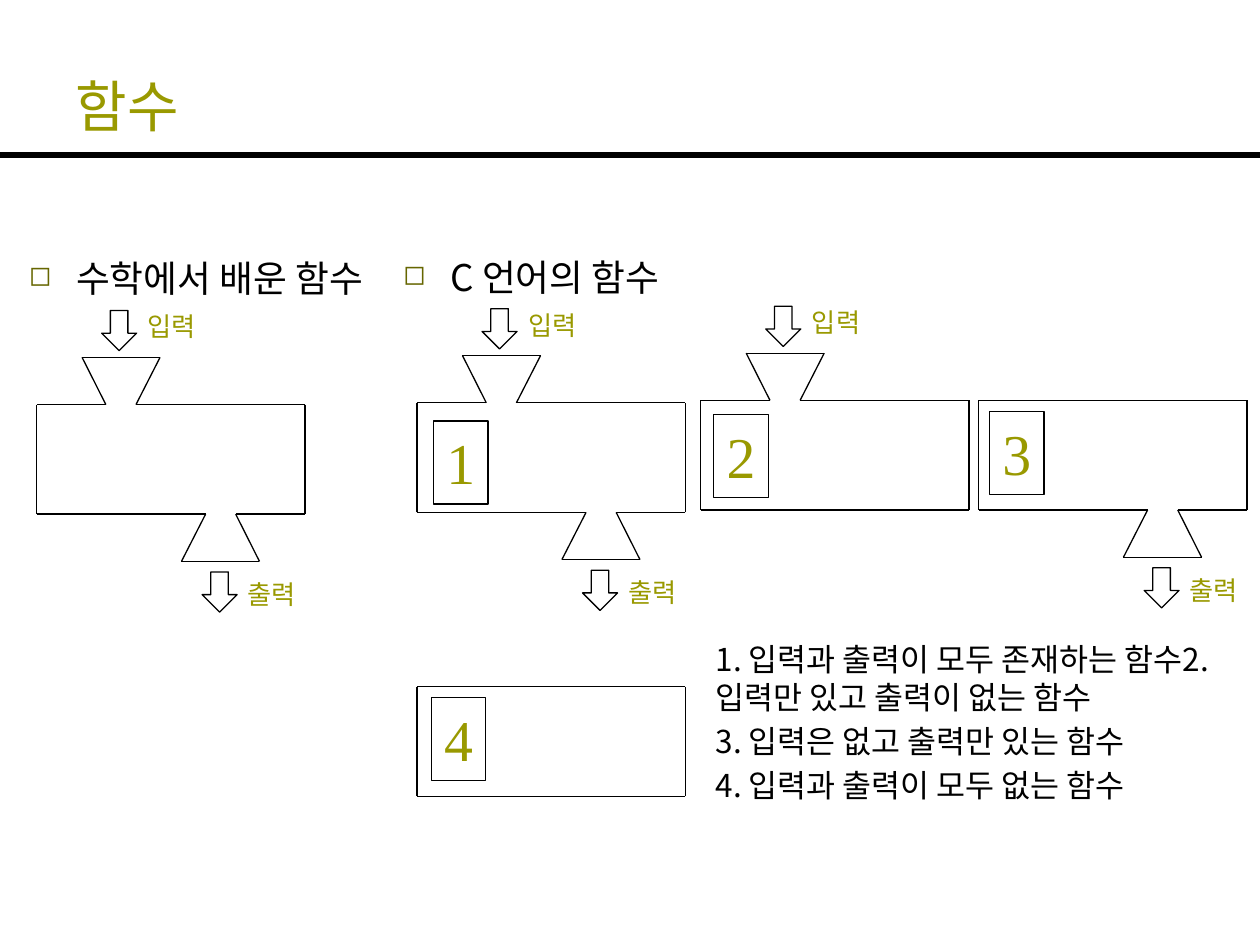
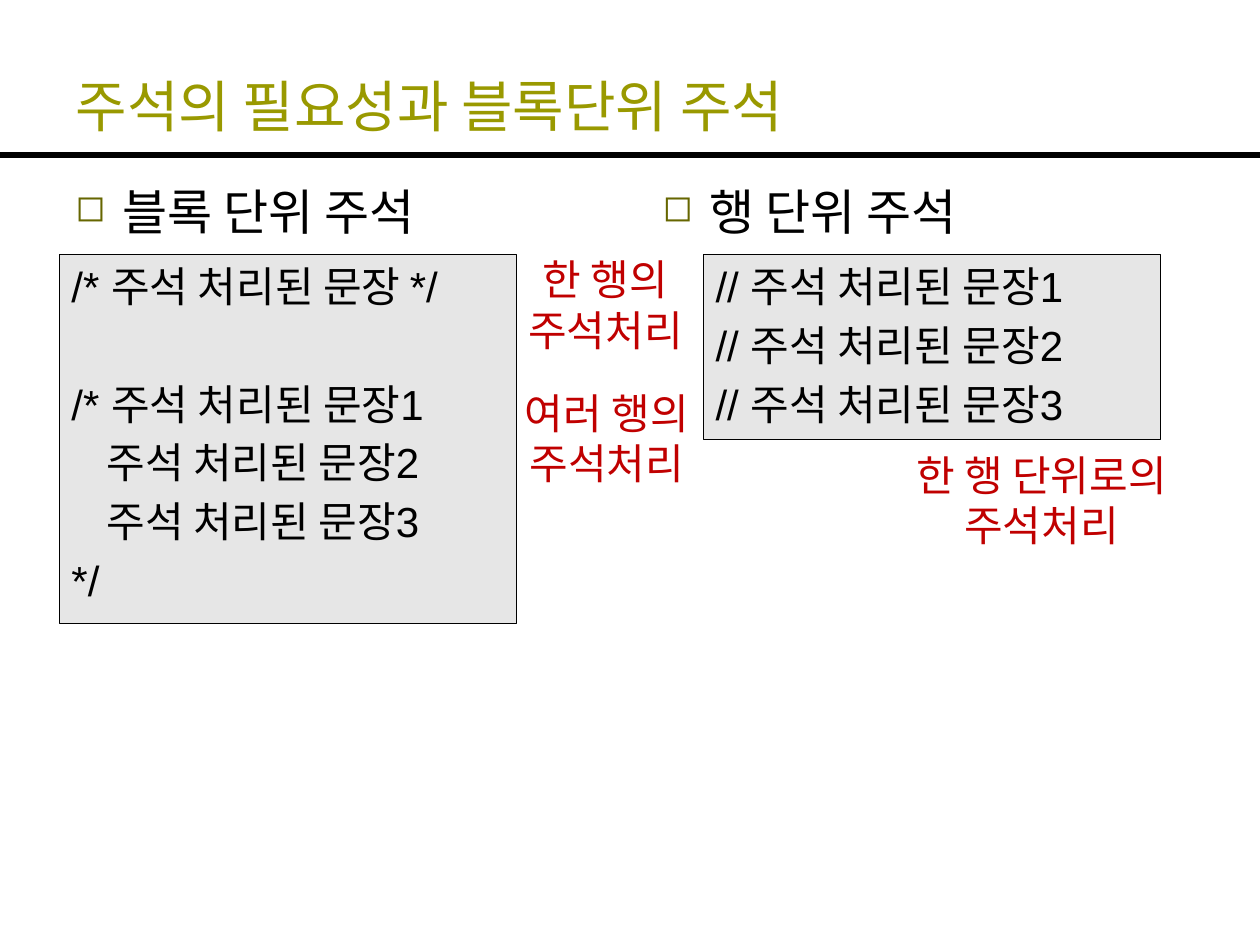
from itertools import pairwise

from lxml import etree
from pptx import Presentation
from pptx.dml.color import RGBColor
from pptx.enum import shapes, text
from pptx.oxml import ns
from pptx.util import Pt

COLORS = {
    "ink": "000000",
    "olive": "999900",
    "bullet": "666600",
    "red": "C00000",
    "code": "E6E6E6",
}
KOREAN = "Noto Sans CJK KR"
SERIF = "Times New Roman"
DISPLAY = "Vollkorn"
MONO = "Noto Sans Mono"

# Function machine, measured from the top left corner of its body
BODY_W, BODY_H = 153.4, 62.6
FUNNEL_H = 27
RIM = (26, 70.6)
MOUTH = (39.6, 56.8)
ARROW = (20, 23)


def color(name):
    """Return the named palette colour."""
    return RGBColor.from_string(COLORS[name])


def place(shape, left, top, width, height):
    """Set the position and size of a shape in points."""
    shape.left, shape.top = Pt(left), Pt(top)
    shape.width, shape.height = Pt(width), Pt(height)


def add_bullet(paragraph):
    """Give a paragraph the hollow square bullet and hanging indent."""
    props = paragraph._p.get_or_add_pPr()
    props.set("marL", str(Pt(27)))
    props.set("indent", str(Pt(-27)))
    tint = etree.SubElement(props, ns.qn("a:buClr"))
    etree.SubElement(tint, ns.qn("a:srgbClr"), val=COLORS["bullet"])
    etree.SubElement(props, ns.qn("a:buSzPct"), val="75000")
    etree.SubElement(props, ns.qn("a:buChar"), char="\u25fb")


def write(shape, lines, *, size, font=KOREAN, ink="ink", align="LEFT",
          anchor="TOP", before=0, inset=(7.2, 3.6), wrap=True, bullet=False):
    """Fill a shape with one formatted paragraph per line."""
    frame = shape.text_frame
    frame.auto_size = text.MSO_AUTO_SIZE.NONE
    frame.word_wrap = wrap
    frame.vertical_anchor = text.MSO_ANCHOR[anchor]
    frame.margin_left = frame.margin_right = Pt(inset[0])
    frame.margin_top = frame.margin_bottom = Pt(inset[1])
    for index, line in enumerate(lines):
        paragraph = frame.add_paragraph() if index else frame.paragraphs[0]
        paragraph.alignment = text.PP_ALIGN[align]
        paragraph.line_spacing = Pt(round(1.2 * size, 1))
        paragraph.space_before = Pt(before)
        run = paragraph.add_run()
        run.text = line
        run.font.size = Pt(size)
        run.font.name = font
        run.font.color.rgb = color(ink)
        east_asian = etree.SubElement(run._r.get_or_add_rPr(), ns.qn("a:ea"))
        east_asian.set("typeface", KOREAN)
        if bullet:
            add_bullet(paragraph)
    return frame


def add_text(slide, box, lines, **style):
    """Add a text box."""
    label = slide.shapes.add_textbox(*map(Pt, box))
    return write(label, lines, **style)


def add_line(slide, start, end, weight=0.75):
    """Add a straight black line between two points."""
    line = slide.shapes.add_connector(
        shapes.MSO_CONNECTOR.STRAIGHT, *map(Pt, (*start, *end)))
    line.line.color.rgb = color("ink")
    line.line.width = Pt(weight)
    etree.SubElement(line._element.spPr, ns.qn("a:effectLst"))


def add_outlined(slide, preset, box, fill=None, weight=0.75):
    """Add a preset shape with a thin black outline."""
    shape = slide.shapes.add_shape(
        shapes.MSO_SHAPE[preset], *map(Pt, box))
    shape.shadow.inherit = False
    if fill:
        shape.fill.solid()
        shape.fill.fore_color.rgb = color(fill)
    else:
        shape.fill.background()
    shape.line.color.rgb = color("ink")
    shape.line.width = Pt(weight)
    return shape


def add_titled_slide(deck, title, font):
    """Add a slide with the shared title style and the rule below it."""
    slide = deck.slides.add_slide(deck.slide_layouts[5])
    add_line(slide, (0, 88.6), (720, 88.6), weight=3)
    heading = slide.shapes.title
    place(heading, 36, 21.6, 648, 61.2)
    write(heading, [title], size=32, font=font, ink="olive", anchor="BOTTOM")
    return slide


def add_flow(slide, label, arrow_at, label_at):
    """Add a down arrow and the word that names the flow."""
    add_outlined(slide, "DOWN_ARROW", (*arrow_at, *ARROW))
    add_text(slide, (*label_at, 44.6, 25.2), [label], size=15, font=SERIF,
             ink="olive", wrap=False)


def add_machine(slide, left, top, takes_input=True, gives_output=True):
    """Draw a function as a box with optional input and output funnels."""
    right, bottom = left + BODY_W, top + BODY_H
    upper, lower = [], []
    if takes_input:
        upper = [(left + MOUTH[0], top), (left + RIM[0], top - FUNNEL_H),
                 (left + RIM[1], top - FUNNEL_H), (left + MOUTH[1], top)]
        add_flow(slide, "입력", (left + 37.2, top - 53.8),
                 (left + 56.5, top - 57.2))
    if gives_output:
        lower = [(right - MOUTH[0], bottom),
                 (right - RIM[0], bottom + FUNNEL_H),
                 (right - RIM[1], bottom + FUNNEL_H),
                 (right - MOUTH[1], bottom)]
        add_flow(slide, "출력", (left + 94.6, bottom + 33),
                 (left + 113.5, bottom + 33))
    outline = [(left, top), *upper, (right, top),
               (right, bottom), *lower, (left, bottom), (left, top)]
    for start, end in pairwise(outline):
        add_line(slide, start, end)


def add_number(slide, number, left, top):
    """Add the numbered tag inside a machine."""
    tag = add_outlined(slide, "RECTANGLE", (left, top, 31.2, 47.4))
    write(tag, [str(number)], size=33, font=SERIF, ink="olive",
          align="CENTER", wrap=False)


def add_code(slide, box, lines):
    """Add a grey panel of code and return its text frame."""
    panel = add_outlined(slide, "RECTANGLE", box, fill="code", weight=0.25)
    return write(panel, lines, size=24, font="Arial", before=4.8)


def add_remark(slide, box, remark):
    """Add a centred red remark."""
    add_text(slide, box, [remark], size=24, ink="red", align="CENTER",
             anchor="MIDDLE")


def build_functions(deck):
    """Compare functions in mathematics with functions in C."""
    slide = add_titled_slide(deck, "함수", DISPLAY)
    topic = dict(size=21, before=4.2, bullet=True)
    add_text(slide, (225.4, 142.6, 478.8, 287.3), ["C 언어의 함수"],
             inset=(5, 2.9), **topic)
    add_text(slide, (9.4, 142.6, 220.3, 287.3), ["수학에서 배운 함수"],
             font=DISPLAY, **topic)

    add_machine(slide, 20.9, 231.2)
    c_machines = [
        (238.3, 230.2, True, True, (247.7, 240.6)),
        (400.4, 228.8, True, False, (407.9, 236.9)),
        (559.2, 228.8, False, True, (565.4, 235.2)),
        (238.3, 392.4, False, False, (246.4, 398.6)),
    ]
    for number, (*machine, tag) in enumerate(c_machines, start=1):
        add_machine(slide, *machine)
        add_number(slide, number, *tag)

    kinds = ["1. 입력과 출력이 모두 존재하는 함수2. 입력만 있고 출력이 없는 함수",
             "3. 입력은 없고 출력만 있는 함수",
             "4. 입력과 출력이 모두 없는 함수"]
    add_text(slide, (404, 362.9, 311.8, 107.3), kinds, size=18, before=3.6,
             inset=(5, 2.9))


def build_comments(deck):
    """Show block comments beside line comments."""
    slide = add_titled_slide(deck, "주석의 필요성과 블록단위 주석", MONO)
    for left, topic in [(36, "블록 단위 주석"), (371.5, "행 단위 주석")]:
        add_text(slide, (left, 100.1, 363.6, 383), [topic], size=28,
                 font=DISPLAY, before=5.6, bullet=True)

    add_remark(slide, (283.7, 157, 124.6, 33.8), "한 행의 주석처리")
    add_remark(slide, (275.8, 233.3, 141.8, 33.8), "여러 행의 주석처리")
    add_remark(slide, (506.2, 268.6, 177.8, 33.8), "한 행 단위로의 주석처리")

    sentence = "주석 처리된 문장"
    block = add_code(slide, (33.8, 145.4, 261.4, 211),
                     [f"/* {sentence} */", f"/* {sentence}1",
                      f"{sentence}2", f"{sentence}3", "*/"])
    block.paragraphs[1].space_before = Pt(38.4)
    for continued in block.paragraphs[2:4]:
        continued._p.get_or_add_pPr().set("marL", str(Pt(20)))
    add_code(slide, (401.8, 145.4, 261.4, 105.8),
             [f"// {sentence}{number}" for number in range(1, 4)])


def main():
    """Build the deck and save it."""
    deck = Presentation()
    deck.slide_width, deck.slide_height = Pt(720), Pt(540)
    build_functions(deck)
    build_comments(deck)
    deck.save("out.pptx")


main()
